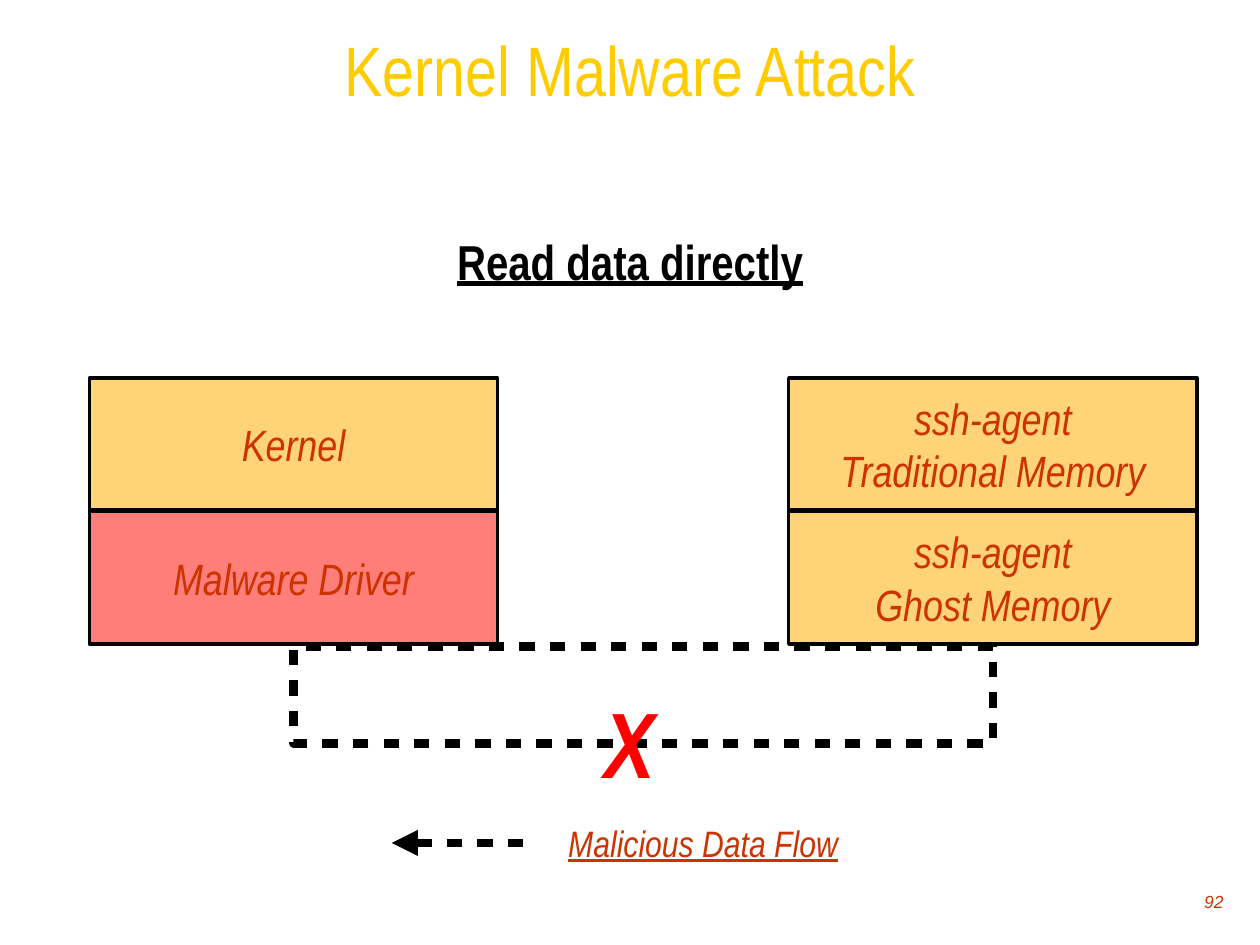
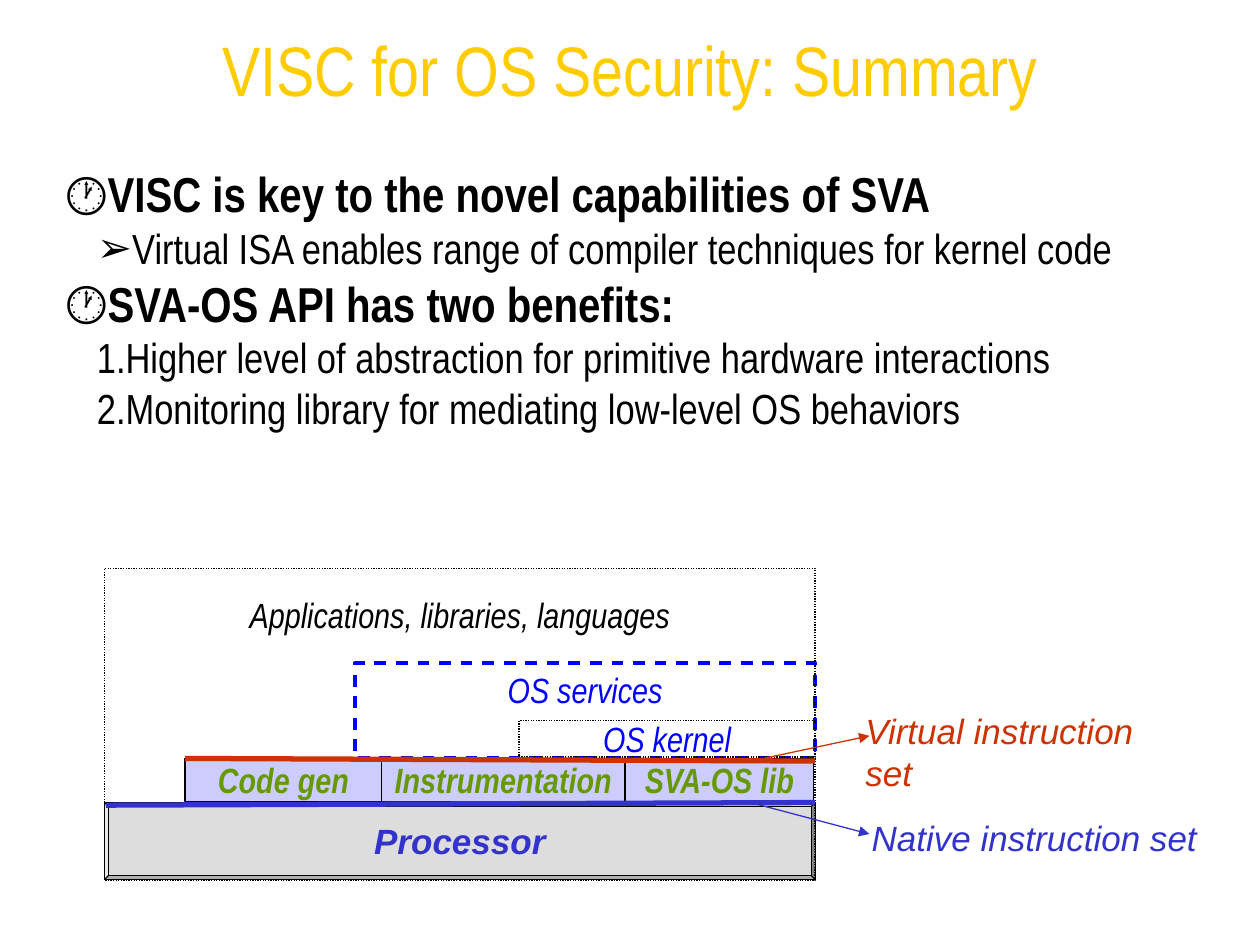
from lxml.etree import SubElement as Sub
from pptx import Presentation
from pptx.dml.color import RGBColor as RGB
from pptx.enum.shapes import MSO_CONNECTOR as Conn, MSO_SHAPE as Kind
from pptx.enum.text import MSO_ANCHOR as Anchor, MSO_AUTO_SIZE as Auto, PP_ALIGN as Align
from pptx.oxml.ns import qn
from pptx.util import Pt

# Shared look
NARROW, SANS = "Arial Narrow", "Arial"
GOLD, RUST = RGB(0xFF, 0xCC, 0x00), RGB(0xCC, 0x33, 0x00)
BLACK, RED = RGB(0, 0, 0), RGB(0xFF, 0, 0)
SAND, ROSE = RGB(0xFF, 0xD4, 0x79), RGB(0xFF, 0x7E, 0x79)
LILAC, GRAY = RGB(0xCC, 0xCC, 0xFF), RGB(0xDD, 0xDD, 0xDD)
GREEN, BLUE, INDIGO = RGB(0x66, 0x99, 0), RGB(0, 0, 0xFF), RGB(0x33, 0x33, 0xCC)
WIDE, HIGH = 720, 540
INSET = (7.2, 3.6, 7.2, 3.6)
DOTS, DASHES, BLOCKS = (1, 1), (3, 2.5), (1.75, 1.75)  # dash, gap in line widths

# Content: attack slide
ATTACK = "Kernel Malware Attack"
LEAD = [(0, None, "Read data directly")]
STACKS = [
    (51.1, [("Kernel", SAND), ("Malware Driver", ROSE)]),
    (450.7, [("ssh-agent\nTraditional Memory", SAND), ("ssh-agent\nGhost Memory", SAND)]),
]
CELL_W, CELL_H, CELL_TOP, STEP = 233.3, 75.6, 216, 76.3
FLOW = (167.8, 369.4, 399.6, 55.4)

# Content: summary slide
SUMMARY = "VISC for OS Security: Summary"
POINTS = [
    (0, "🕐", "VISC is key to the novel capabilities of SVA"),
    (1, "➢", "Virtual ISA enables range of compiler techniques for kernel code"),
    (0, "🕐", "SVA-OS API has two benefits:"),
    (1, "1.", "Higher level of abstraction for primitive hardware interactions"),
    (1, "1.", "Monitoring library for mediating low-level OS behaviors"),
]
LEFT, RIGHT = 59.8, 465.8
SVA_TOP, SVA_H = 433.4, 24.5
PARTS = [("Code gen", 105.8), ("Instrumentation", 218.2), ("SVA-OS lib", 357.1)]
# text, left, top, height, line, width, dash, ink, anchor, top inset
LAYERS = [
    ("OS services", 203, 378.7, 54.7, BLUE, 2.25, DASHES, BLUE, Anchor.TOP, 3.6),
    ("OS kernel", 296.6, 411.8, 20.9, BLACK, 0.75, DOTS, BLUE, Anchor.MIDDLE, 3.6),
    ("Applications, libraries, languages", LEFT, 324.7, 178.6, BLACK, 0.75, DOTS,
     BLACK, Anchor.TOP, 14.4),
]
# label, box, band line, arrow, colour
SETS = [
    ("Virtual instruction set", (487.4, 401.8, 199.4, 31),
     (105.8, 433.4, RIGHT, 434.9), (436.3, 433.4, 496.8, 420.5), RUST),
    ("Native instruction set", (491, 463, 200.2, 31),
     (60.5, 460.1, RIGHT, 458.6), (426.2, 457.9, 496.8, 476.6), INDIGO),
]


def place(shape, box):
    shape.left, shape.top, shape.width, shape.height = map(Pt, box)


def style(par, size, ink, face=NARROW, bold=False, slant=False, under=False):
    font = par.font
    font.size, font.name, font.color.rgb = Pt(size), face, ink
    font.bold, font.italic, font.underline = bold, slant, under


def write(shape, text, size, ink, face=NARROW, bold=False, under=False,
          align=Align.CENTER, anchor=Anchor.MIDDLE, inset=INSET, wrap=False):
    frame = shape.text_frame
    frame.text = text
    frame.word_wrap, frame.vertical_anchor = wrap, anchor
    (frame.margin_left, frame.margin_top,
     frame.margin_right, frame.margin_bottom) = map(Pt, inset)
    for par in frame.paragraphs:
        par.alignment = align
        style(par, size, ink, face, bold, True, under)


def label(slide, box, *args, **opts):
    write(slide.shapes.add_textbox(*map(Pt, box)), *args, **opts)


def dash(shape, rule):
    outline = shape._element.spPr.find(qn("a:ln"))
    size = [str(int(n * 100000)) for n in rule]
    Sub(Sub(outline, qn("a:custDash")), qn("a:ds"), d=size[0], sp=size[1])


def block(slide, box, fill, ink, width, rule=None, kind=Kind.RECTANGLE):
    shape = slide.shapes.add_shape(kind, *map(Pt, box))
    shape.shadow.inherit = False
    if fill is None:
        shape.fill.background()
    else:
        shape.fill.solid()
        shape.fill.fore_color.rgb = fill
    shape.line.color.rgb, shape.line.width = ink, Pt(width)
    if rule:
        dash(shape, rule)
    return shape


def draw(slide, ends, ink, width, rule=None, tip=None):
    line = slide.shapes.add_connector(Conn.STRAIGHT, *map(Pt, ends))
    line.line.color.rgb, line.line.width = ink, Pt(width)
    props = line._element.spPr
    if rule:
        dash(line, rule)
    if tip:
        Sub(props.find(qn("a:ln")), qn("a:" + tip), type="triangle")
    Sub(props, qn("a:effectLst"))


def bullet(par, level, mark):
    props = par._p.get_or_add_pPr()
    hang = 16 if mark else 0
    props.set("marL", str(Pt(18 * level + hang)))
    props.set("indent", str(Pt(-hang)))
    if mark is None:
        Sub(props, qn("a:buNone"))
    elif mark == "1.":
        Sub(props, qn("a:buAutoNum"), type="arabicPeriod")
    else:
        Sub(props, qn("a:buChar"), char=mark)


def start(deck, title, items, box, align=Align.LEFT, under=False):
    """Add a slide with its title and body list."""
    slide = deck.slides.add_slide(deck.slide_layouts[1])
    head, body = slide.placeholders
    place(head, (0, 0, WIDE, 77.8))
    place(body, box)
    head.text_frame.text = title
    head.text_frame.vertical_anchor = Anchor.MIDDLE
    style(head.text_frame.paragraphs[0], 40, GOLD)
    frame = body.text_frame
    frame.text = "\n".join(text for _, _, text in items)
    frame.auto_size = head.text_frame.auto_size = Auto.NONE
    for par, (level, mark, _) in zip(frame.paragraphs, items):
        par.level, par.alignment = level, align
        par.space_before = Pt(0)
        style(par, 24 if level else 28, BLACK, bold=not level, under=under)
        bullet(par, level, mark)
    return slide


def attack(deck):
    slide = start(deck, ATTACK, LEAD, (31.7, 128.9, 656.6, 42.5), Align.CENTER, True)
    bare = (0, 0, 0, 0)
    # Memory stacks
    for left, cells in STACKS:
        for row, (text, fill) in enumerate(cells):
            box = (left, CELL_TOP + row * STEP, CELL_W, CELL_H)
            write(block(slide, box, fill, BLACK, 2), text, 25, RUST, inset=bare, wrap=True)
    # Page number
    label(slide, (686.2, 509, 13, 12.2), "92", 10, RUST, SANS,
          align=Align.RIGHT, anchor=Anchor.TOP, inset=bare)
    # Blocked flow and its key
    block(slide, FLOW, None, BLACK, 5, BLOCKS)
    label(slide, (345.6, 391.7, 28.8, 63.4), "X", 53, RED, bold=True, inset=bare)
    draw(slide, (223.9, 481.7, 306.7, 481.7), BLACK, 5, BLOCKS, "headEnd")
    label(slide, (320.4, 465.1, 162.7, 33.1), "Malicious Data Flow", 21, RUST,
          under=True, inset=(4.3,) * 4)


def summary(deck):
    slide = start(deck, SUMMARY, POINTS, (30.2, 90, 660.2, 419.8))
    # Processor
    chip = block(slide, (LEFT, 458.6, RIGHT - LEFT, 43.9), GRAY, BLACK, 0.75, kind=Kind.BEVEL)
    chip.adjustments[0] = 0.05
    write(chip, "Processor", 20, INDIGO, SANS, bold=True)
    # Software layers
    for text, left, top, high, ink, width, rule, tone, anchor, pad in LAYERS:
        shape = block(slide, (left, top, RIGHT - left, high), None, ink, width, rule)
        write(shape, text, 20, tone, anchor=anchor, inset=(7.2, pad, 7.2, 3.6))
    # SVA parts, each reaching to the next
    stops = [left for _, left in PARTS[1:]] + [RIGHT - 0.7]
    for (text, left), stop in zip(PARTS, stops):
        shape = block(slide, (left, SVA_TOP, stop - left, SVA_H), LILAC, BLACK, 0.75)
        write(shape, text, 20, GREEN, bold=True)
    # Instruction sets
    for text, box, band, arrow, ink in SETS:
        draw(slide, band, ink, 3)
        draw(slide, arrow, ink, 0.75, tip="tailEnd")
        label(slide, box, text, 20, ink, SANS, align=Align.LEFT, anchor=Anchor.TOP)


def main():
    deck = Presentation()
    deck.slide_width, deck.slide_height = Pt(WIDE), Pt(HIGH)
    attack(deck)
    summary(deck)
    deck.save("out.pptx")


if __name__ == "__main__":
    main()
